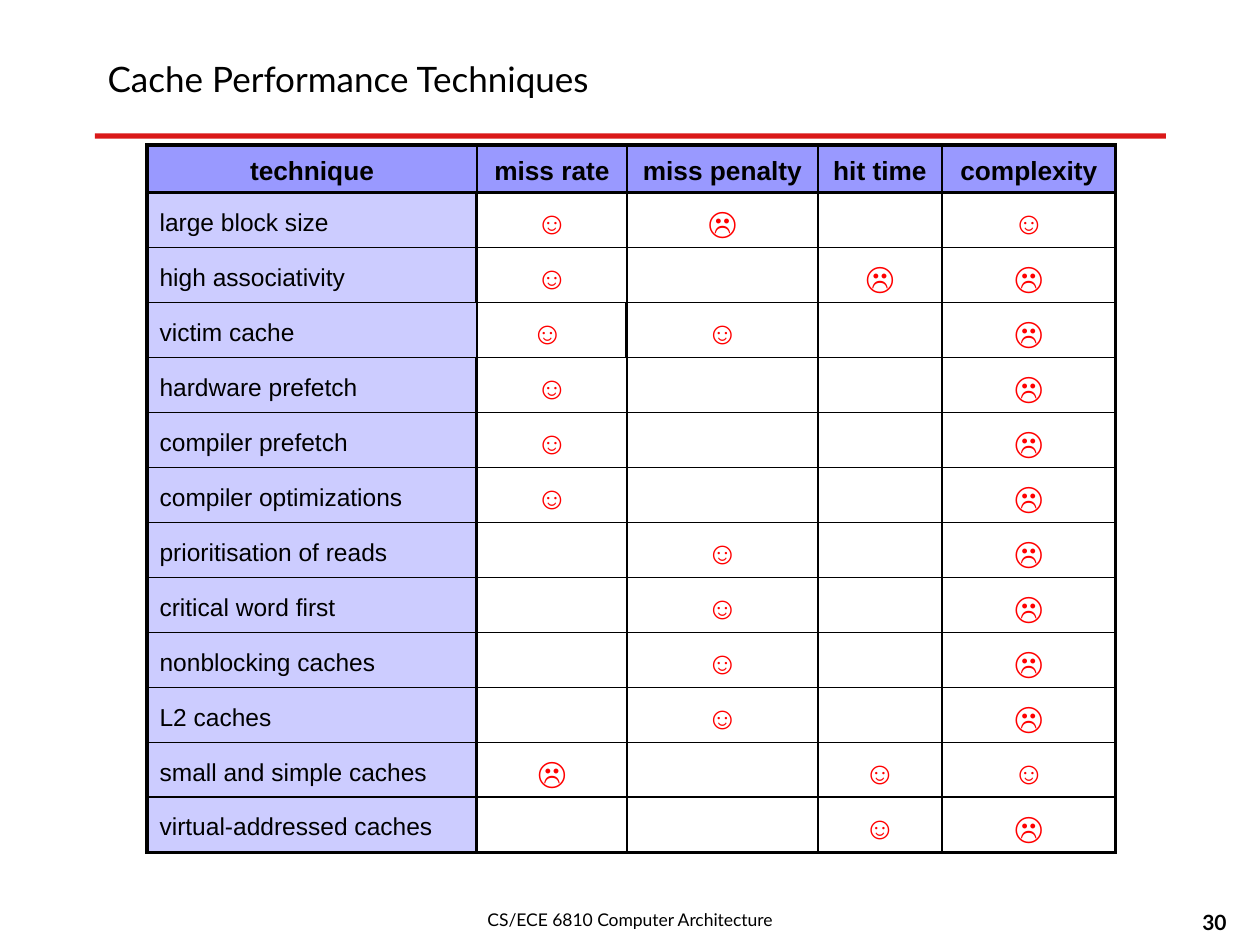
import pptx
import pptx.dml.color
import pptx.enum.shapes
import pptx.enum.text
import pptx.oxml.ns
import pptx.util
import lxml.etree

EMU_PER_PX = 914400 / 126
COLORS = {"ink": "000000", "rule": "D70000", "header": "9999FF", "label": "CCCCFF", "face": "FF0000"}
ALIGN = pptx.enum.text.PP_ALIGN
ANCHOR = pptx.enum.text.MSO_ANCHOR

COLUMN_WIDTHS = [330, 150, 191, 124, 174]
HEADER_HEIGHT, ROW_HEIGHT = 47, 55
HEADINGS = ["technique", "miss rate", "miss penalty", "hit time", "complexity"]
TECHNIQUES = [
    ("large block size", "☺", "☹", "", "☺"),
    ("high associativity", "☺", "", "☹", "☹"),
    ("victim cache", "☺ ", "☺", "", "☹"),
    ("hardware prefetch", "☺", "", "", "☹"),
    ("compiler prefetch", "☺", "", "", "☹"),
    ("compiler optimizations", "☺", "", "", "☹"),
    ("prioritisation of reads", "", "☺", "", "☹"),
    ("critical word first", "", "☺", "", "☹"),
    ("nonblocking caches", "", "☺", "", "☹"),
    ("L2 caches", "", "☺", "", "☹"),
    ("small and simple caches", "☹", "", "☺", "☺"),
    ("virtual-addressed caches", "", "", "☺", "☹"),
]
VICTIM_ROW = 3


def px(length):
    """Turn px into EMU."""
    return pptx.util.Emu(round(length * EMU_PER_PX))


def rgb(name):
    """Look up a named colour."""
    return pptx.dml.color.RGBColor.from_string(COLORS[name])


def write(frame, text, size, font, color="ink", align=ALIGN.LEFT, bold=False):
    """Write one formatted run into the first paragraph of a frame."""
    paragraph = frame.paragraphs[0]
    paragraph.alignment = align
    run = paragraph.add_run()
    run.text = text
    run.font.size = pptx.util.Pt(size)
    run.font.name = font
    run.font.bold = bold
    run.font.color.rgb = rgb(color)
    return paragraph


def add_title(slide, left, top, width, height):
    """Place the title and the red rule along its lower edge."""
    title = slide.shapes.title
    title.left, title.top, title.width, title.height = map(px, (left, top, width, height))
    title.text_frame.vertical_anchor = ANCHOR.MIDDLE
    write(title.text_frame, "Cache Performance Techniques", 20, "Lato")

    rule_y = px(top + height - 1)
    rule = slide.shapes.add_connector(
        pptx.enum.shapes.MSO_CONNECTOR.STRAIGHT, px(left), rule_y, px(left + 1071), rule_y)
    rule.line.width = pptx.util.Pt(3)
    rule.line.color.rgb = rgb("rule")
    qn = pptx.oxml.ns.qn
    properties = rule.element.spPr
    rule_color = properties.find(".//" + qn("a:srgbClr"))
    lxml.etree.SubElement(rule_color, qn("a:alpha"), val="89000")
    lxml.etree.SubElement(properties, qn("a:effectLst"))


def add_footer_text(slide, left, top, width, height, text, size, align, bold=False):
    """Place one line of footer text."""
    footer = slide.shapes.add_textbox(*map(px, (left, top, width, height)))
    footer.text_frame.word_wrap = True
    write(footer.text_frame, text, size, "Lato", align=align, bold=bold)


def vertical_weight(row, edge):
    """Give the points of the border at a column edge."""
    if edge in (0, len(HEADINGS)):
        return 2
    if row == VICTIM_ROW:
        return 2 if edge == 2 else 1
    return 2 if edge == 1 and row > 0 else 1


def horizontal_weight(edge):
    """Give the points of the border at a row edge."""
    return 2 if edge in (0, 1, len(TECHNIQUES) + 1) else 1


def set_borders(cell, row, column):
    """Draw the four borders of a cell."""
    qn = pptx.oxml.ns.qn
    weights = {
        "L": vertical_weight(row, column),
        "R": vertical_weight(row, column + 1),
        "T": horizontal_weight(row),
        "B": horizontal_weight(row + 1),
    }
    properties = cell._tc.get_or_add_tcPr()
    for side, weight in weights.items():
        border = lxml.etree.SubElement(
            properties, qn("a:ln" + side), w=str(pptx.util.Pt(weight)))
        fill = lxml.etree.SubElement(border, qn("a:solidFill"))
        lxml.etree.SubElement(fill, qn("a:srgbClr"), val=COLORS["ink"])


def fill_cell(cell, row, column, text):
    """Format a header, technique or face cell and write its text."""
    set_borders(cell, row, column)
    cell.vertical_anchor = ANCHOR.BOTTOM
    size, color, align, background = 18, "face", ALIGN.CENTER, None
    if row == 0:
        size, color, background = 15, "ink", "header"
    elif column == 0:
        size, color, align, background = 14, "ink", ALIGN.LEFT, "label"
        cell.vertical_anchor = ANCHOR.MIDDLE
        cell.margin_top = cell.margin_bottom = px(5)
    if background:
        cell.fill.solid()
        cell.fill.fore_color.rgb = rgb(background)
    else:
        cell.fill.background()
    if text:
        paragraph = write(cell.text_frame, text, size, "Arial", color, align, row == 0)
        paragraph.line_spacing = 1.2


def add_technique_table(slide, left, top):
    """Place the table that rates each cache technique."""
    records = [HEADINGS, *TECHNIQUES]
    heights = [HEADER_HEIGHT] + [ROW_HEIGHT] * len(TECHNIQUES)
    table = slide.shapes.add_table(
        len(records), len(HEADINGS), px(left), px(top),
        px(sum(COLUMN_WIDTHS)), px(sum(heights))).table
    table.first_row = table.horz_banding = False
    for column, width in zip(table.columns, COLUMN_WIDTHS):
        column.width = px(width)
    for row, (record, height) in enumerate(zip(records, heights)):
        table.rows[row].height = px(height)
        for column, text in enumerate(record):
            fill_cell(table.cell(row, column), row, column, text)


def main():
    """Build the slide and save it."""
    deck = pptx.Presentation()
    deck.slide_width, deck.slide_height = px(1260), px(945)
    slide = deck.slides.add_slide(deck.slide_layouts[5])
    add_title(slide, 95, 21, 1050, 116)
    add_technique_table(slide, 147, 145)
    add_footer_text(slide, 399, 903, 462, 42, "CS/ECE 6810 Computer Architecture", 10, ALIGN.CENTER)
    add_footer_text(slide, 977, 903, 262, 42, "30", 12, ALIGN.RIGHT, bold=True)
    deck.save("out.pptx")


if __name__ == "__main__":
    main()
